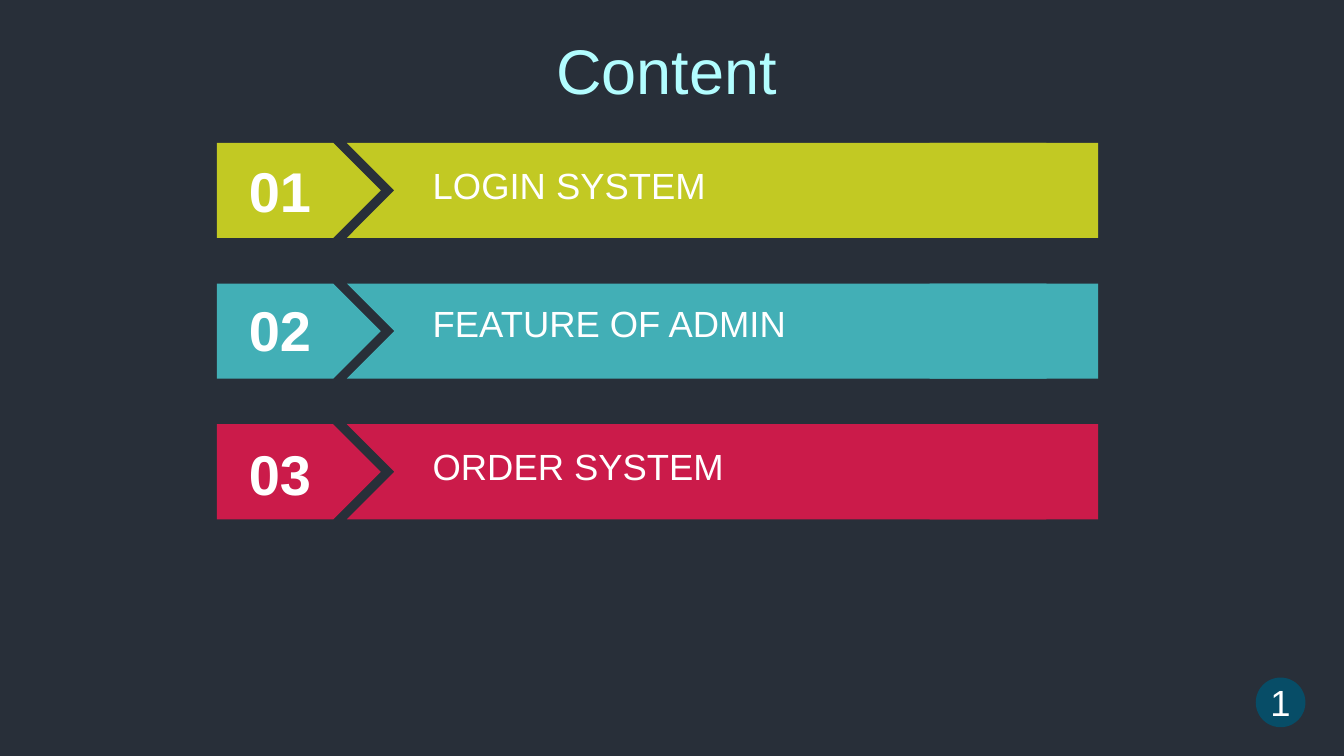
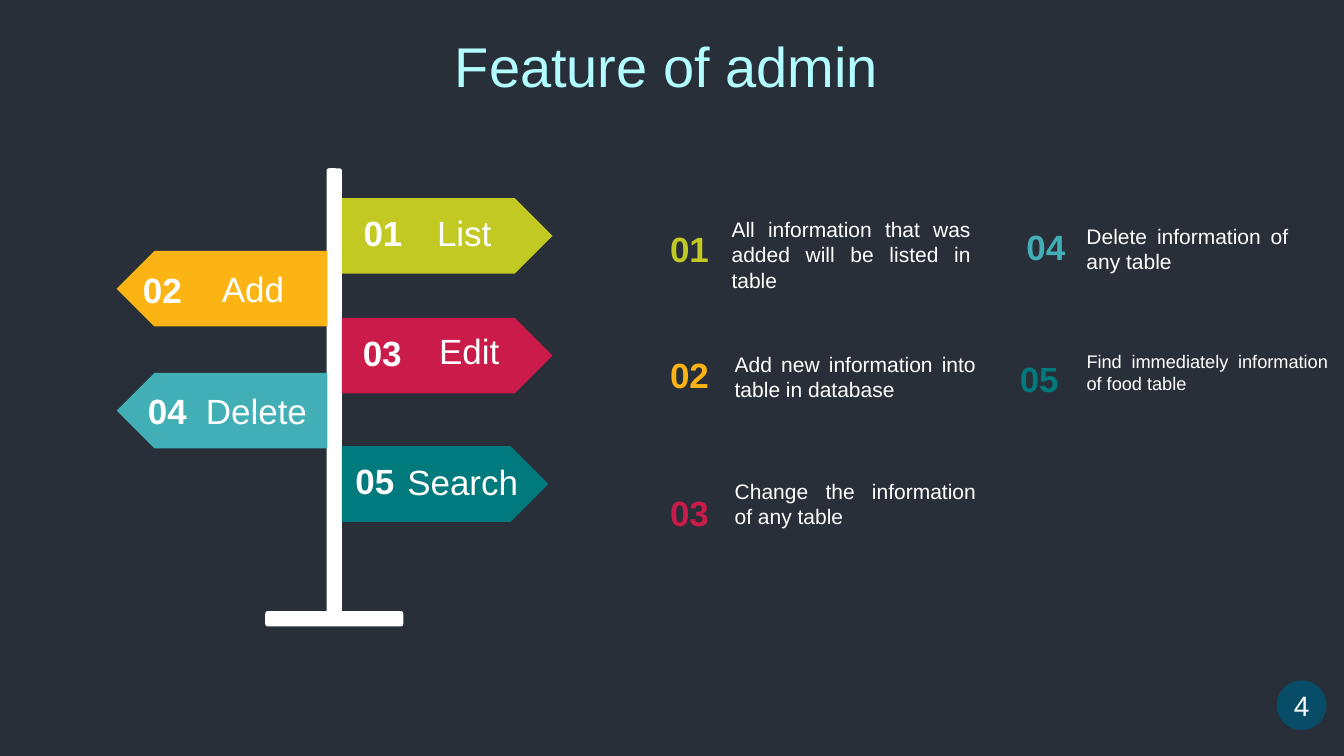
from pptx import Presentation
from pptx.dml.color import RGBColor
from pptx.enum.shapes import MSO_SHAPE
from pptx.enum.text import MSO_ANCHOR, MSO_AUTO_SIZE, PP_ALIGN
from pptx.util import Pt

BACKGROUND = RGBColor(0x28, 0x2F, 0x39)
TITLE_COLOR = RGBColor(0xB2, 0xFD, 0xFF)
BADGE_COLOR = RGBColor(0x07, 0x4D, 0x67)
WHITE = RGBColor(0xFF, 0xFF, 0xFF)
LIME = RGBColor(0xC2, 0xC9, 0x23)
AMBER = RGBColor(0xFC, 0xB4, 0x14)
CRIMSON = RGBColor(0xCB, 0x1B, 0x4A)
TURQUOISE = RGBColor(0x42, 0xAF, 0xB6)
TEAL = RGBColor(0x00, 0x7A, 0x7D)
FONT = "Arial"


def add_shape(slide, kind, left, top, width, height, color):
    shape = slide.shapes.add_shape(kind, Pt(left), Pt(top), Pt(width), Pt(height))
    shape.shadow.inherit = False
    shape.fill.solid()
    shape.fill.fore_color.rgb = color
    shape.line.fill.background()
    return shape


def write_text(shape, text, size, color=WHITE, bold=False, alignment=PP_ALIGN.CENTER):
    paragraph = shape.text_frame.paragraphs[0]
    paragraph.alignment = alignment
    run = paragraph.add_run()
    run.text = text
    run.font.name = FONT
    run.font.size = Pt(size)
    run.font.bold = bold
    run.font.color.rgb = color
    shape.text_frame.word_wrap = True


presentation = Presentation()
presentation.slide_width = Pt(960)
presentation.slide_height = Pt(540)
master_fill = presentation.slide_master.background.fill
master_fill.solid()
master_fill.fore_color.rgb = BACKGROUND

layout = presentation.slide_layouts.get_by_name("Title Only")
layout_title = layout.placeholders[0]
layout_title.left, layout_title.top = Pt(95), Pt(18.7)
layout_title.width, layout_title.height = Pt(762), Pt(62)
layout_title.text_frame.vertical_anchor = MSO_ANCHOR.TOP
layout_title.text_frame.auto_size = MSO_AUTO_SIZE.NONE

slides = []
for title, title_size, number, number_size, badge_left, badge_top in [
    ("Content", 45, "1", 26, 897, 484),
    ("Feature of admin", 40, "4", 20, 912, 486),
]:
    slide = presentation.slides.add_slide(layout)
    write_text(slide.shapes.title, title, title_size, TITLE_COLOR)
    badge = add_shape(slide, MSO_SHAPE.OVAL, badge_left, badge_top, 35.5, 35.5, BADGE_COLOR)
    write_text(badge, number, number_size)
    badge.text_frame.word_wrap = False
    badge.text_frame.vertical_anchor = MSO_ANCHOR.MIDDLE
    slides.append(slide)
content_slide, feature_slide = slides

BAND_TOP, BAND_STEP, BAND_HEIGHT = 102, 100.5, 68
bands = [
    ("01", "LOGIN SYSTEM", LIME, 108, 113),
    ("02", "FEATURE OF ADMIN", TURQUOISE, 207.5, 211.5),
    ("03", "ORDER SYSTEM", CRIMSON, 310.5, 314),
]
for index, (number, label, color, number_top, label_top) in enumerate(bands):
    top = BAND_TOP + index * BAND_STEP
    for kind, left, width in [
        (MSO_SHAPE.PENTAGON, 155, 117),
        (MSO_SHAPE.CHEVRON, 247.7, 533.5),
        (MSO_SHAPE.RECTANGLE, 664, 120.5),
    ]:
        add_shape(content_slide, kind, left, top, width, BAND_HEIGHT, color)
    number_box = content_slide.shapes.add_textbox(Pt(160), Pt(number_top), Pt(80), Pt(55.5))
    write_text(number_box, number, 40, bold=True)
    label_box = content_slide.shapes.add_textbox(Pt(302), Pt(label_top), Pt(366), Pt(39))
    write_text(label_box, label, 26, alignment=PP_ALIGN.JUSTIFY)

add_shape(feature_slide, MSO_SHAPE.ROUNDED_RECTANGLE, 233.3, 120.2, 11, 320, WHITE)
add_shape(feature_slide, MSO_SHAPE.ROUNDED_RECTANGLE, 189.5, 436.5, 98.6, 11, WHITE)

RIGHT_SIGN, LEFT_SIGN = 244.2, 83.3
signs = [
    (RIGHT_SIGN, 141.5, 150.5, 0, LIME),
    (LEFT_SIGN, 179.2, 150.5, 180, AMBER),
    (RIGHT_SIGN, 227, 150.5, 0, CRIMSON),
    (LEFT_SIGN, 266.3, 150.5, 180, TURQUOISE),
    (RIGHT_SIGN, 318.7, 147.5, 0, TEAL),
]
for left, top, width, rotation, color in signs:
    sign = add_shape(feature_slide, MSO_SHAPE.PENTAGON, left, top, width, 54, color)
    sign.rotation = rotation

CAPTION_WIDTH, CAPTION_HEIGHT, CAPTION_SIZE = 100, 37.5, 25
captions = [
    ("01", 273.6, 147.6, WHITE, True),
    ("List", 331.6, 147.6, WHITE, False),
    ("02", 116, 188, WHITE, True),
    ("Add", 180.7, 187.5, WHITE, False),
    ("03", 273, 233.3, WHITE, True),
    ("Edit", 335.2, 232, WHITE, False),
    ("04", 119.5, 275, WHITE, True),
    ("Delete", 183.2, 275, WHITE, False),
    ("05", 267.8, 324.7, WHITE, True),
    ("Search", 330.5, 325.4, WHITE, False),
    ("01", 492.5, 159, LIME, True),
    ("02", 492.5, 249, AMBER, True),
    ("03", 492.5, 347.8, CRIMSON, True),
    ("04", 747, 157.7, TURQUOISE, True),
    ("05", 742.3, 252, TEAL, True),
]
for text, center, top, color, bold in captions:
    caption_box = feature_slide.shapes.add_textbox(
        Pt(center - CAPTION_WIDTH / 2), Pt(top), Pt(CAPTION_WIDTH), Pt(CAPTION_HEIGHT)
    )
    write_text(caption_box, text, CAPTION_SIZE, color, bold)

descriptions = [
    ("All information that was added will be listed in table", 515.5, 151.2, 185, 62, 15),
    ("Add new information into table in database", 517.7, 247.7, 186.5, 44, 15),
    ("Change the information of any table", 517.7, 338.4, 186.5, 44, 15),
    ("Delete information of any table", 769, 156.2, 158.4, 44, 15),
    ("Find immediately information of food table", 769, 247, 186.5, 39, 13),
]
for text, left, top, width, height, size in descriptions:
    description_box = feature_slide.shapes.add_textbox(Pt(left), Pt(top), Pt(width), Pt(height))
    write_text(description_box, text, size, alignment=PP_ALIGN.JUSTIFY)

presentation.save("out.pptx")
